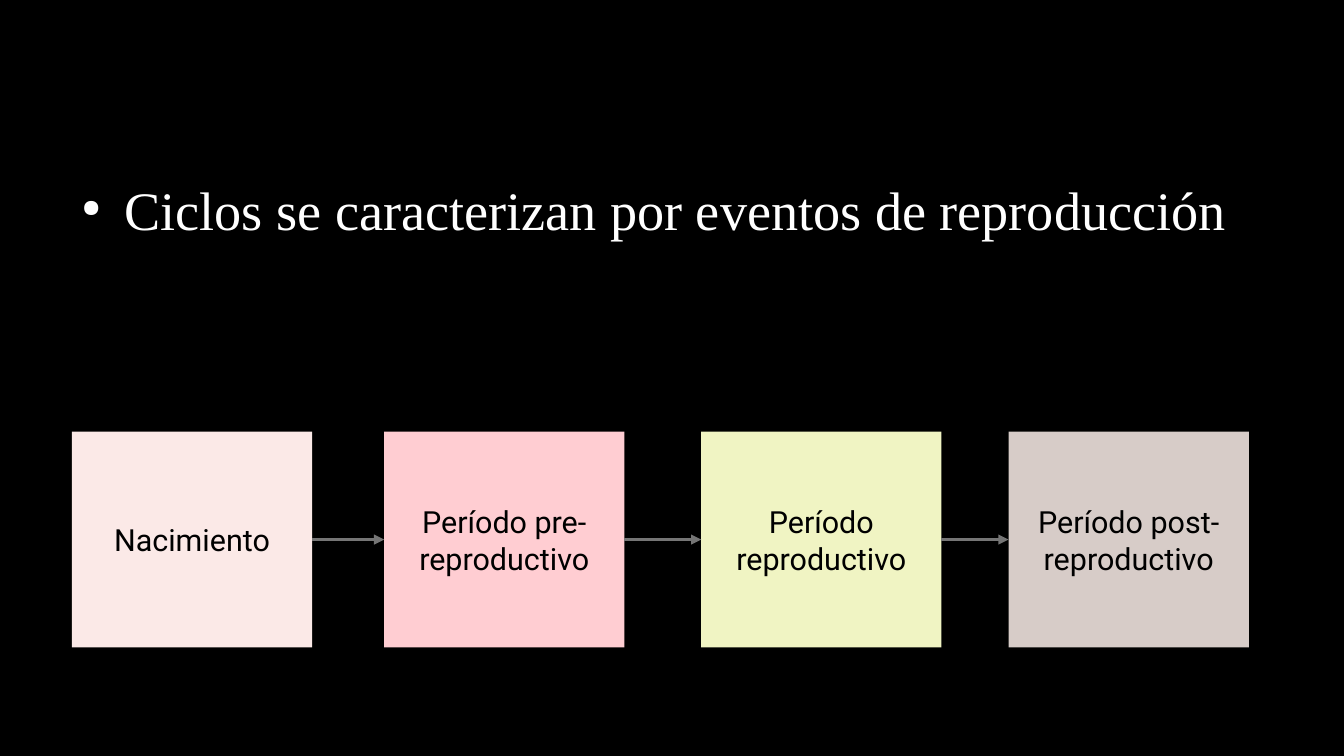
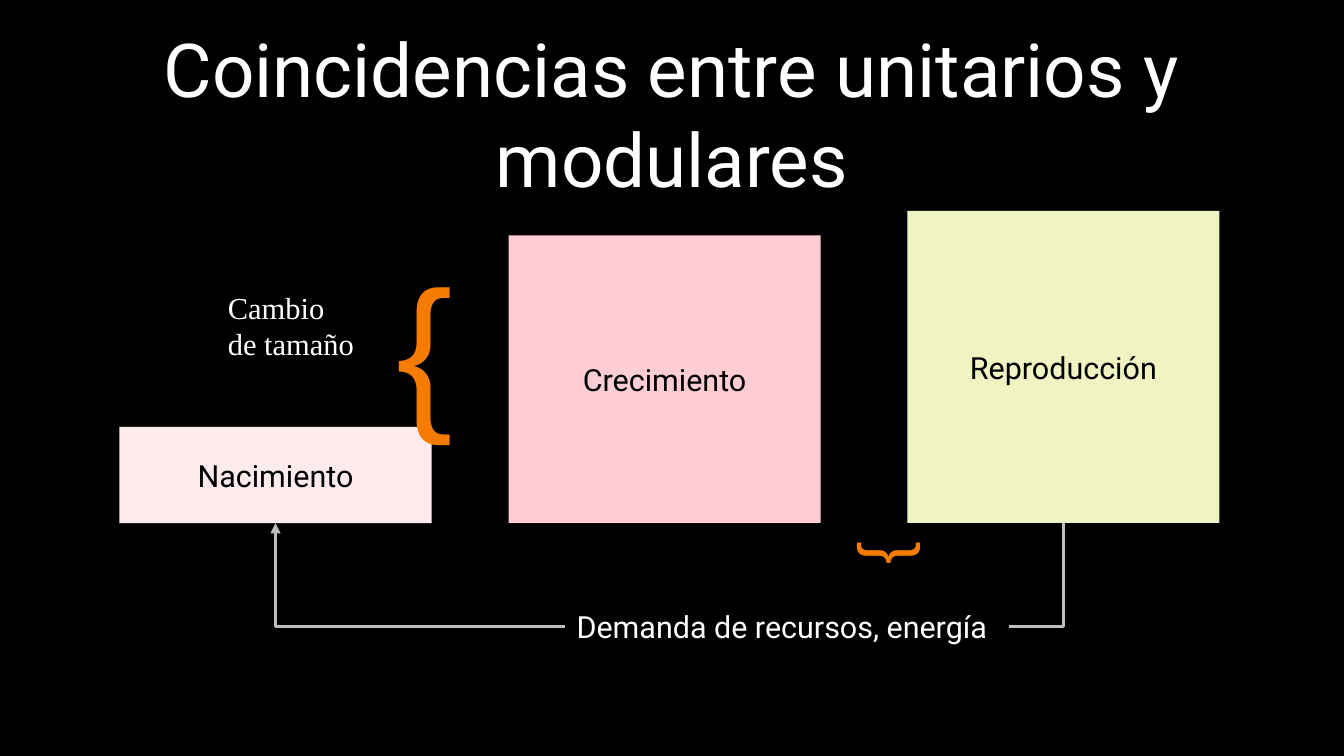
from itertools import pairwise

from lxml.etree import SubElement
from pptx import Presentation
from pptx.dml.color import RGBColor
from pptx.enum.shapes import MSO_CONNECTOR as CONNECTOR, MSO_SHAPE as SHAPE
from pptx.enum.text import MSO_ANCHOR as ANCHOR, MSO_AUTO_SIZE as AUTO_SIZE, PP_ALIGN as ALIGN
from pptx.oxml.ns import qn
from pptx.util import Inches, Pt

BLACK = RGBColor(0x00, 0x00, 0x00)
WHITE = RGBColor(0xFF, 0xFF, 0xFF)
ORANGE = RGBColor(0xF5, 0x7C, 0x00)
CREAM = RGBColor(0xFB, 0xE9, 0xE7)
BLUSH = RGBColor(0xFF, 0xEB, 0xEE)
PINK = RGBColor(0xFF, 0xCD, 0xD2)
LIME = RGBColor(0xF0, 0xF4, 0xC3)
TAUPE = RGBColor(0xD7, 0xCC, 0xC8)
GRAY = RGBColor(0x75, 0x75, 0x75)
SILVER = RGBColor(0xBD, 0xBD, 0xBD)

SANS = "Roboto"
SERIF = "Times New Roman"
BRACE_FONT = "Arial"


def write(tf, text, font=SANS, size=18, color=WHITE, align=ALIGN.LEFT):
    """Write one paragraph for each line of text."""
    for i, line in enumerate(text.split("\n")):
        p = tf.paragraphs[0] if i == 0 else tf.add_paragraph()
        p.alignment = align
        r = p.add_run()
        r.text = line
        r.font.name = font
        r.font.size = Pt(size)
        r.font.color.rgb = color


def add_block(slide, left, top, width, height, text, **style):
    """Add wrapped text without margins, for titles and body text."""
    sp = slide.shapes.add_textbox(Inches(left), Inches(top), Inches(width), Inches(height))
    tf = sp.text_frame
    tf.word_wrap = True
    tf.margin_left = tf.margin_right = tf.margin_top = tf.margin_bottom = 0
    write(tf, text, **style)
    return tf


def add_title(slide, text):
    tf = add_block(slide, 0.55, 0.09, 9.92, 1.67, text, size=44, align=ALIGN.CENTER)
    tf.vertical_anchor = ANCHOR.MIDDLE


def add_bullet(slide, text):
    tf = add_block(slide, 0.55, 1.45, 9.92, 3.6, text, font=SERIF, size=32)
    p = tf.paragraphs[0]
    p.space_before = Pt(14.2)
    pPr = p._p.get_or_add_pPr()
    pPr.set("marL", str(Inches(0.47)))
    pPr.set("indent", str(Inches(-0.35)))
    SubElement(pPr, qn("a:buSzPct")).set("val", "45000")
    SubElement(pPr, qn("a:buChar")).set("char", "●")


def add_label(slide, left, top, width, height, text, rotation=0, **style):
    sp = slide.shapes.add_textbox(Inches(left), Inches(top), Inches(width), Inches(height))
    sp.rotation = rotation
    tf = sp.text_frame
    tf.word_wrap = False
    tf.auto_size = AUTO_SIZE.SHAPE_TO_FIT_TEXT
    write(tf, text, **style)


def add_box(slide, left, top, width, height, text, fill):
    sp = slide.shapes.add_shape(SHAPE.RECTANGLE, Inches(left), Inches(top),
                                Inches(width), Inches(height))
    sp.shadow.inherit = False
    sp.fill.solid()
    sp.fill.fore_color.rgb = fill
    sp.line.fill.background()
    tf = sp.text_frame
    tf.word_wrap = True
    tf.vertical_anchor = ANCHOR.MIDDLE
    write(tf, text, color=BLACK, align=ALIGN.CENTER)
    return sp


def add_line(slide, start, end, color, kind=CONNECTOR.STRAIGHT, arrow=False):
    line = slide.shapes.add_connector(kind, *map(Inches, start + end))
    line.line.color.rgb = color
    line.line.width = Pt(0)
    if arrow:
        SubElement(line.line._get_or_add_ln(), qn("a:tailEnd")).set("type", "triangle")
    SubElement(line._element.spPr, qn("a:effectLst"))
    return line


def add_corner(slide, start, end, arrow=False):
    """Add a line that runs horizontally, then turns once."""
    line = add_line(slide, start, end, SILVER, CONNECTOR.ELBOW, arrow)
    line._element.spPr.find(qn("a:prstGeom")).set("prst", "bentConnector2")


def build_cycle(slide):
    top, width, height = 3.54, 1.97, 1.77
    middle = top + height / 2
    stages = [
        (0.59, "Nacimiento", CREAM),
        (3.15, "Período pre-reproductivo", PINK),
        (5.75, "Período reproductivo", LIME),
        (8.27, "Período post-reproductivo", TAUPE),
    ]
    add_bullet(slide, "Ciclos se caracterizan por eventos de reproducción")
    boxes = [(left, add_box(slide, left, top, width, height, text, fill))
             for left, text, fill in stages]
    for (left, box), (next_left, next_box) in pairwise(boxes):
        line = add_line(slide, (left + width, middle), (next_left, middle), GRAY, arrow=True)
        line.begin_connect(box, 3)
        line.end_connect(next_box, 1)


def build_coincidences(slide):
    bottom, width, return_y = 4.29, 2.56, 5.14
    birth_left, growth_left, reproduction_left = 0.98, 4.17, 7.44
    stages = [
        (birth_left, 0.79, "Nacimiento", BLUSH),
        (growth_left, 2.36, "Crecimiento", PINK),
        (reproduction_left, 2.56, "Reproducción", LIME),
    ]
    add_title(slide, "Coincidencias entre unitarios y modulares")
    for left, height, text, fill in stages:
        add_box(slide, left, bottom - height, width, height, text, fill)

    brace = {"font": BRACE_FONT, "color": ORANGE}
    add_label(slide, 3.15, 1.93, 0.6, 1.76, "{", size=100, **brace)
    add_label(slide, 1.77, 2.32, 1.38, 0.66, "Cambio\nde tamaño", font=SERIF)
    add_label(slide, 4.63, 4.94, 3.8, 0.44, "Demanda de recursos, energía")
    add_label(slide, 7.03, 4.16, 0.36, 0.77, "{", rotation=270, size=40, **brace)

    add_corner(slide, (8.27, return_y), (reproduction_left + width / 2, bottom))
    add_corner(slide, (4.63, return_y), (birth_left + width / 2, bottom), arrow=True)


def main():
    prs = Presentation()
    prs.slide_width, prs.slide_height = Inches(11.02), Inches(6.2)
    background = prs.slide_master.background.fill
    background.solid()
    background.fore_color.rgb = BLACK
    for build in (build_cycle, build_coincidences):
        build(prs.slides.add_slide(prs.slide_layouts[6]))
    prs.save("out.pptx")


if __name__ == "__main__":
    main()
